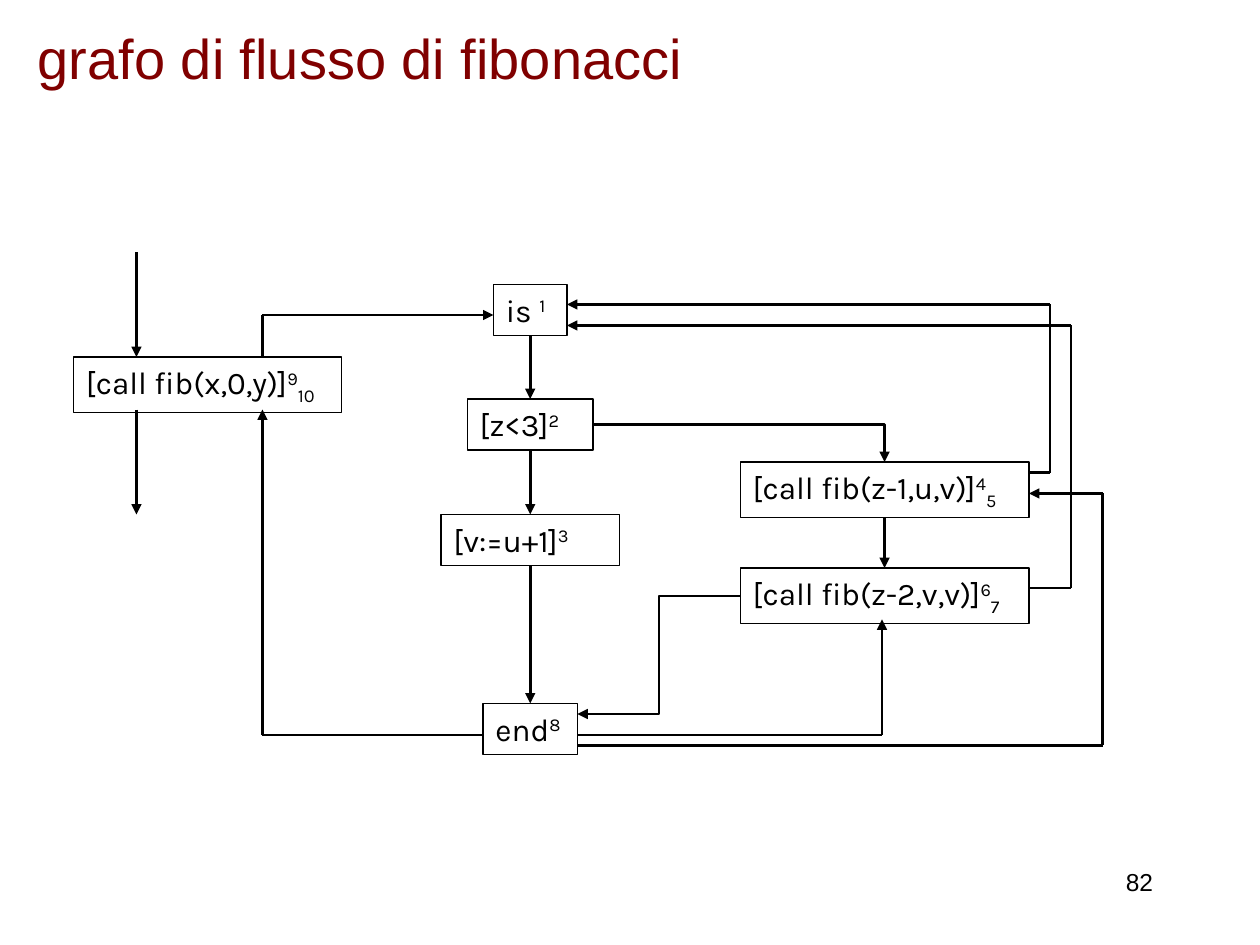
from dataclasses import dataclass
from itertools import pairwise

from lxml.etree import SubElement
from pptx import Presentation
from pptx.dml.color import RGBColor
from pptx.enum.shapes import MSO_CONNECTOR, MSO_SHAPE
from pptx.enum.text import MSO_ANCHOR, MSO_AUTO_SIZE, PP_ALIGN
from pptx.oxml.ns import qn
from pptx.util import Inches, Pt


@dataclass(frozen=True)
class Theme:
    ink: RGBColor = RGBColor(0x00, 0x00, 0x00)
    heading: RGBColor = RGBColor(0x80, 0x00, 0x00)
    heading_font: str = "Arial"
    label_font: str = "Karla"
    heading_size: int = 32
    label_size: int = 18
    number_size: int = 14
    border: float = 0.75
    stroke: float = 1.5


THEME = Theme()
COLUMNS, ROWS = 120, 90
TOP, LEFT, BOTTOM, RIGHT = range(4)
PLAIN_HEIGHT, INDEXED_HEIGHT = 4.85, 5.3

BLOCKS = {
    "main call": (7, 34, 25.5, "[call fib(x,0,y)]", "9", "10"),
    "second call": (70.5, 54.1, 27.5, "[call fib(z-2,v,v)]", "6", "7"),
    "first call": (70.5, 44, 27.5, "[call fib(z-1,u,v)]", "4", "5"),
    "end": (46, 67, 9, "end", "8", ""),
    "assignment": (42, 49, 17, "[v:=u+1]", "3", ""),
    "test": (44.5, 38, 12, "[z<3]", "2", ""),
    "is": (47, 27.1, 7, "is ", "1", ""),
}
DOWNWARD = [
    ("is", "test"),
    ("test", "assignment"),
    ("assignment", "end"),
    ("first call", "second call"),
]
ROUTES = [
    [(98, 45), (100, 45), (100, 29), (54, 29)],
    [(98, 56), (102, 56), (102, 31), (54, 31)],
    [(55, 70), (84, 70), (84, 59)],
    [(55, 71), (105, 71), (105, 47), (98, 47)],
    [(13, 24), (13, 34)],
    [(13, 39), (13, 49)],
    [(25, 34), (25, 30), (47, 30)],
    [(46, 70), (25, 70), (25, 39)],
]


def grid(*units):
    return [Inches(unit / 12) for unit in units]


def format_text(paragraph, font_name, size, color, alignment=PP_ALIGN.LEFT):
    paragraph.alignment = alignment
    paragraph.font.name = font_name
    paragraph.font.size = Pt(size)
    paragraph.font.color.rgb = color


def place_title(slide, text):
    title = slide.shapes.title
    title.left, title.top, title.width, title.height = grid(2.4, 0, 113.9, 10.9)
    title.text_frame.text = text
    title.text_frame.vertical_anchor = MSO_ANCHOR.MIDDLE
    format_text(title.text_frame.paragraphs[0], THEME.heading_font,
                THEME.heading_size, THEME.heading)


def add_block(slide, left, top, width, label, superscript, subscript):
    height = INDEXED_HEIGHT if subscript else PLAIN_HEIGHT
    block = slide.shapes.add_shape(MSO_SHAPE.RECTANGLE, *grid(left, top, width, height))
    block.shadow.inherit = False
    block.fill.background()
    block.line.color.rgb = THEME.ink
    block.line.width = Pt(THEME.border)
    frame = block.text_frame
    frame.word_wrap = True
    frame.auto_size = MSO_AUTO_SIZE.SHAPE_TO_FIT_TEXT
    frame.vertical_anchor = MSO_ANCHOR.TOP
    paragraph = frame.paragraphs[0]
    format_text(paragraph, THEME.label_font, THEME.label_size, THEME.ink)
    for text, baseline in ((label, 0), (superscript, 30000), (subscript, -25000)):
        if text:
            run = paragraph.add_run()
            run.text = text
            if baseline:
                run._r.get_or_add_rPr().set("baseline", str(baseline))
    return block


def add_line(slide, start, end, arrow=True, kind=MSO_CONNECTOR.STRAIGHT):
    connector = slide.shapes.add_connector(kind, *grid(*start, *end))
    connector.line.color.rgb = THEME.ink
    connector.line.width = Pt(THEME.stroke)
    if arrow:
        SubElement(connector.line._get_or_add_ln(), qn("a:tailEnd"), type="triangle")
    SubElement(connector._element.spPr, qn("a:effectLst"))
    return connector


def add_route(slide, points):
    legs = list(pairwise(points))
    for position, (start, end) in enumerate(legs, 1):
        add_line(slide, start, end, arrow=position == len(legs))


def add_downward_arrow(slide, upper, lower):
    connector = add_line(slide, (0, 0), (0, 1))
    connector.begin_connect(upper, BOTTOM)
    connector.end_connect(lower, TOP)


def add_branches(slide, blocks):
    corner = add_line(slide, (56.5, 40.4), (84.25, 44), kind=MSO_CONNECTOR.ELBOW)
    corner._element.spPr.find(qn("a:prstGeom")).set("prst", "bentConnector2")
    corner.begin_connect(blocks["test"], RIGHT)
    corner.end_connect(blocks["first call"], TOP)
    step = add_line(slide, (70.5, 56.5), (55, 68), kind=MSO_CONNECTOR.ELBOW)
    step.begin_connect(blocks["second call"], LEFT)


def add_page_number(slide, number):
    box = slide.shapes.add_textbox(*grid(86, 82, 25, 6))
    box.text_frame.word_wrap = True
    box.text_frame.text = number
    format_text(box.text_frame.paragraphs[0], THEME.heading_font,
                THEME.number_size, THEME.ink, PP_ALIGN.RIGHT)


def main():
    presentation = Presentation()
    presentation.slide_width, presentation.slide_height = grid(COLUMNS, ROWS)
    slide = presentation.slides.add_slide(presentation.slide_layouts[5])
    place_title(slide, "grafo di flusso di fibonacci")
    blocks = {name: add_block(slide, *block) for name, block in BLOCKS.items()}
    for upper, lower in DOWNWARD:
        add_downward_arrow(slide, blocks[upper], blocks[lower])
    add_branches(slide, blocks)
    for points in ROUTES:
        add_route(slide, points)
    add_page_number(slide, "82")
    presentation.save("out.pptx")


if __name__ == "__main__":
    main()
